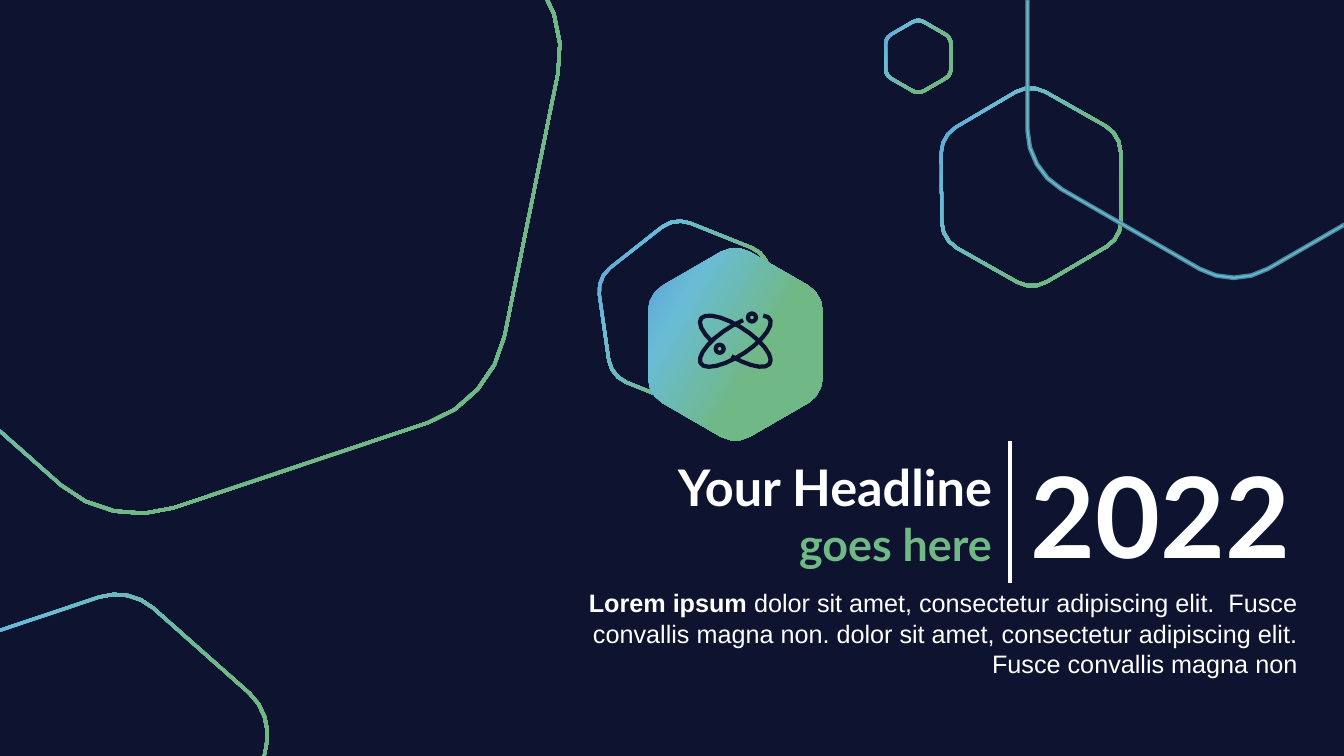
from dataclasses import dataclass
from math import cos, radians, sin, sqrt

from lxml import etree
from pptx import Presentation
from pptx.dml.color import RGBColor
from pptx.enum.shapes import MSO_CONNECTOR, MSO_SHAPE
from pptx.enum.text import MSO_AUTO_SIZE, PP_ALIGN
from pptx.oxml.ns import qn
from pptx.util import Inches, Pt

STRAIGHT = MSO_CONNECTOR.STRAIGHT
OVAL = MSO_SHAPE.OVAL
GROW = MSO_AUTO_SIZE.SHAPE_TO_FIT_TEXT
RIGHT = PP_ALIGN.RIGHT

COLUMNS, ROWS = 160, 90
CELL = Inches(7.5) // ROWS
NAVY, WHITE, GREEN = "0E1330", "FFFFFF", "70B886"
SKY, TEAL = "69BCD6", "4C899C"
GRADIENT = {0: "5B9BD5", 23: SKY, 61: GREEN, 100: GREEN}
RIM = 0.36
CORNER_SHARE = 0.165
LARGE_RADIUS = 15
ORBIT_STEPS = 20

Point = tuple[float, float]


@dataclass(frozen=True)
class Hexagon:
    column: float
    row: float
    radius: float
    turn: float = 0
    hollow: bool = True

    def corner(self, index: int) -> Point:
        angle = radians(30 + 60 * index + self.turn)
        return self.column + self.radius * cos(angle), self.row + self.radius * sin(angle)

    def rounded(self, indexes: range = range(6)) -> list[Point]:
        outline = []
        steps = 4 if self.radius > LARGE_RADIUS else 3
        for index in indexes:
            tip = self.corner(index)
            before, after = self.corner(index - 1), self.corner(index + 1)
            controls = [toward(tip, before, CORNER_SHARE), toward(tip, before, CORNER_SHARE * 0.4),
                        toward(tip, after, CORNER_SHARE * 0.4), toward(tip, after, CORNER_SHARE)]
            outline += [bezier(controls, step / steps) for step in range(steps + 1)]
        return outline

    def inset(self) -> "Hexagon":
        return Hexagon(self.column, self.row, self.radius - RIM * 2 / sqrt(3), self.turn)


@dataclass(frozen=True)
class Orbit:
    tilt: float
    start: float
    end: float

    def points(self, center: Point, major: float, minor: float) -> list[Point]:
        slope = radians(self.tilt)
        curve = []
        for step in range(ORBIT_STEPS + 1):
            angle = radians(self.start + (self.end - self.start) * step / ORBIT_STEPS)
            along, across = major * cos(angle), minor * sin(angle)
            curve.append((center[0] + along * cos(slope) - across * sin(slope),
                          center[1] + along * sin(slope) + across * cos(slope)))
        return curve


@dataclass(frozen=True)
class Words:
    text: str
    size: int
    font: str = "Lato"
    color: str = WHITE
    bold: bool = True


@dataclass(frozen=True)
class Passage:
    column: float
    row: float
    width: float
    height: float
    lines: tuple[tuple[Words, ...], ...]


HEXAGONS = (
    Hexagon(22.68, 16.14, 48, 11.5),
    Hexagon(10.86, 92.22, 23, 11.5),
    Hexagon(122.76, 22.26, 12.54, -0.5),
    Hexagon(109.32, 6.72, 4.7),
    Hexagon(82.02, 37.5, 12, -8.2),
    Hexagon(87.54, 40.98, 12, hollow=False),
)
CORNER_HEXAGON = Hexagon(146.88, 6, 28.56)
ATOM_CENTER = (87.54, 40.62)
ORBITS = (Orbit(-33, -25, 296), Orbit(33, 118, 443))
ELECTRONS = ((85.68, 41.52), (89.52, 37.8))
ELECTRON_SIZE = 0.96
PASSAGES = (
    Passage(63, 69.36, 92.64, 12.12, ((
        Words("Lorem ipsum ", 18, "Arial"),
        Words("dolor sit amet, consectetur adipiscing elit.  Fusce convallis magna non. "
              "dolor sit amet, consectetur adipiscing elit. Fusce convallis magna non",
              18, "Arial", bold=False)),)),
    Passage(121.32, 52.56, 33.48, 17.4, ((Words("2022", 80),),)),
    Passage(69.96, 53.76, 49.32, 15, (
        (Words("Your Headline", 36),), (Words("goes here", 32, color=GREEN),))),
)


def toward(start: Point, end: Point, share: float) -> Point:
    return start[0] + (end[0] - start[0]) * share, start[1] + (end[1] - start[1]) * share


def bezier(controls: list[Point], share: float) -> Point:
    while len(controls) > 1:
        controls = [toward(a, b, share) for a, b in zip(controls, controls[1:])]
    return controls[0]


def cells(count: float) -> int:
    return round(count * CELL)


def rgb(color: str) -> RGBColor:
    return RGBColor.from_string(color)


def draw_outline(slide, contours: list[list[Point]], close: bool = True):
    placed = [[(cells(x), cells(y)) for x, y in contour] for contour in contours]
    builder = slide.shapes.build_freeform(*placed[0][0])
    for contour in placed:
        if contour is not placed[0]:
            builder.move_to(*contour[0])
        builder.add_line_segments(contour[1:], close=close)
    outline = builder.convert_to_shape()
    outline.shadow.inherit = False
    return outline


def stroke(shape, color: str, width: float) -> None:
    shape.line.color.rgb = rgb(color)
    shape.line.width = Pt(width)


def fill_gradient(shape) -> None:
    shape.fill.gradient()
    shape.fill.gradient_angle = 330
    stops = shape.element.find(".//" + qn("a:gsLst"))
    for stop in list(stops):
        stops.remove(stop)
    for position, color in GRADIENT.items():
        stop = etree.SubElement(stops, qn("a:gs"), pos=str(position * 1000))
        etree.SubElement(stop, qn("a:srgbClr"), val=color)


def draw_hexagon(slide, hexagon: Hexagon) -> None:
    contours = [hexagon.rounded()]
    if hexagon.hollow:
        contours.append(hexagon.inset().rounded()[::-1])
    shape = draw_outline(slide, contours)
    fill_gradient(shape)
    shape.line.fill.background()


def draw_corner_hexagon(slide, hexagon: Hexagon) -> None:
    visible = range(2, 0, -1)
    sides = []
    for edge in (hexagon, hexagon.inset()):
        curve = [point for index in visible for point in edge.rounded(range(index, index + 1))[::-1]]
        lower, upper = edge.corner(1), edge.corner(0)
        share = (COLUMNS - lower[0]) / (upper[0] - lower[0])
        sides.append([(edge.corner(2)[0], 0), *curve, toward(lower, upper, share)])
    shape = draw_outline(slide, [sides[0] + sides[1][::-1]])
    shape.fill.solid()
    shape.fill.fore_color.rgb = rgb(SKY)
    stroke(shape, TEAL, 1)


def draw_atom(slide) -> None:
    rings = [draw_outline(slide, [orbit.points(ATOM_CENTER, 4.9, 1.76)], close=False)
             for orbit in ORBITS]
    for column, row in ELECTRONS:
        rings.append(slide.shapes.add_shape(
            OVAL, cells(column - ELECTRON_SIZE / 2), cells(row - ELECTRON_SIZE / 2),
            cells(ELECTRON_SIZE), cells(ELECTRON_SIZE)))
    for ring in rings:
        ring.shadow.inherit = False
        ring.fill.background()
        stroke(ring, NAVY, 3)


def draw_passage(slide, passage: Passage) -> None:
    frame = slide.shapes.add_textbox(cells(passage.column), cells(passage.row),
                                     cells(passage.width), cells(passage.height)).text_frame
    for key, value in {"word_wrap": True, "auto_size": GROW}.items():
        setattr(frame, key, value)
    for number, line in enumerate(passage.lines):
        paragraph = frame.add_paragraph() if number else frame.paragraphs[0]
        paragraph.alignment = RIGHT
        for words in line:
            run = paragraph.add_run()
            run.text = words.text
            formats = {"name": words.font, "size": Pt(words.size), "bold": words.bold}
            for key, value in formats.items():
                setattr(run.font, key, value)
            run.font.color.rgb = rgb(words.color)


def draw_divider(slide) -> None:
    divider = slide.shapes.add_connector(
        STRAIGHT, cells(120.24), cells(52.56), cells(120.24), cells(69.36))
    stroke(divider, WHITE, 3)
    etree.SubElement(divider.element.spPr, qn("a:effectLst"))


def main() -> None:
    deck = Presentation()
    deck.slide_width, deck.slide_height = cells(COLUMNS), cells(ROWS)
    slide = deck.slides.add_slide(deck.slide_layouts[6])
    slide.background.fill.solid()
    slide.background.fill.fore_color.rgb = rgb(NAVY)
    for hexagon in HEXAGONS:
        draw_hexagon(slide, hexagon)
    draw_corner_hexagon(slide, CORNER_HEXAGON)
    for passage in PASSAGES:
        draw_passage(slide, passage)
    draw_divider(slide)
    draw_atom(slide)
    deck.save("out.pptx")


if __name__ == "__main__":
    main()
